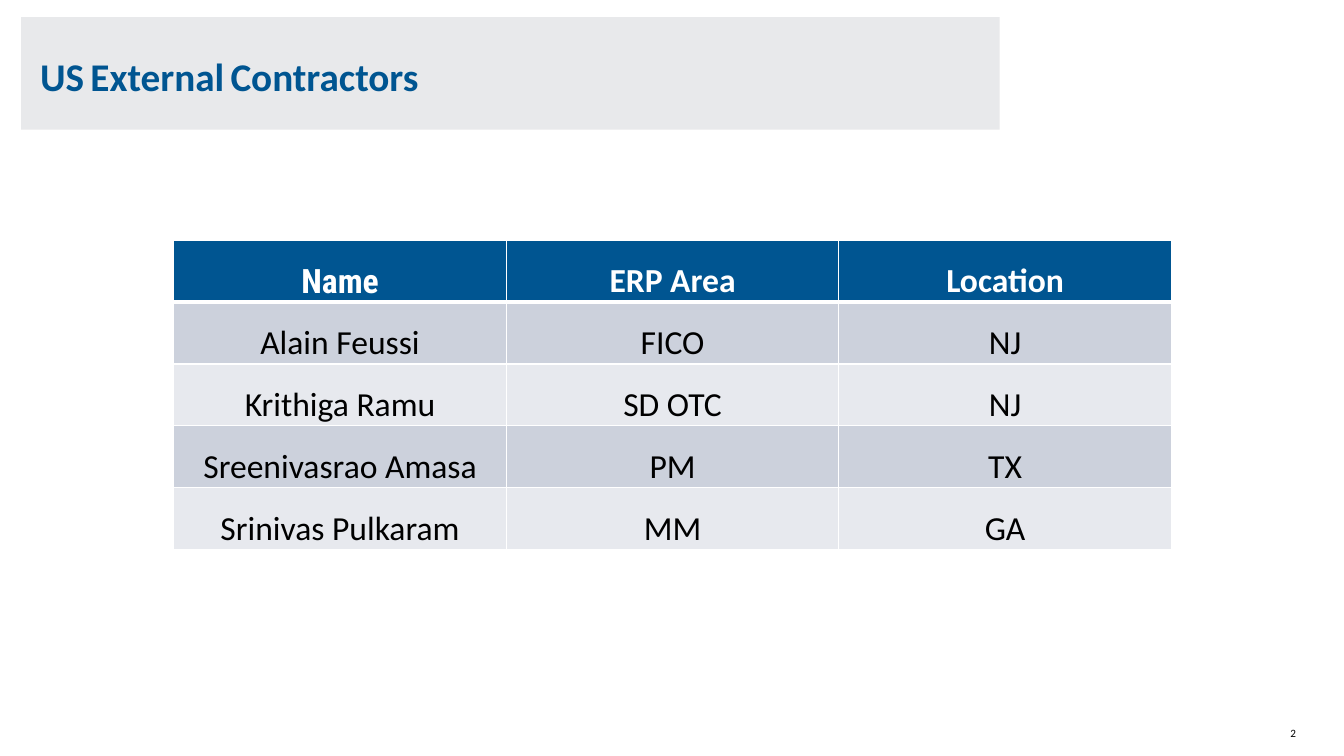
from lxml.etree import SubElement
from pptx import Presentation
from pptx.dml.color import RGBColor
from pptx.enum.text import MSO_ANCHOR, MSO_AUTO_SIZE, PP_ALIGN
from pptx.oxml.ns import qn
from pptx.util import Cm, Pt

TITLE_RUNS = [("US", 28), (" ", 20), ("External", 28), (" ", 20), ("Contractors", 28)]
HEADER = ("Name", "ERP Area", "Location")
CONTRACTORS = [
    ("Alain Feussi", "FICO", "NJ"),
    ("Krithiga Ramu", "SD OTC", "NJ"),
    ("Sreenivasrao Amasa", "PM", "TX"),
    ("Srinivas Pulkaram", "MM", "GA"),
]
SLIDE_NUMBER = "2"
BLUE, WHITE, BLACK, TITLE_GREY = "005591", "FFFFFF", "000000", "E8E9EB"
BANDS = ("CCD1DC", "E7E9EE")
COLUMN_WIDTH, ROW_HEIGHT = 8.38, 1.56


def set_fill(target, color):
    target.fill.solid()
    target.fill.fore_color.rgb = RGBColor.from_string(color)


def add_run(paragraph, text, size, color, bold=False, font="Calibri"):
    run = paragraph.add_run()
    run.text = text
    run.font.size = Pt(size)
    run.font.name = font
    run.font.bold = bold
    run.font.color.rgb = RGBColor.from_string(color)


def set_margins(target, left, top, right, bottom):
    target.margin_left, target.margin_top = Cm(left), Cm(top)
    target.margin_right, target.margin_bottom = Cm(right), Cm(bottom)


def set_borders(cell, row):
    properties = cell._tc.get_or_add_tcPr()
    widths = {"a:lnL": 1, "a:lnR": 1, "a:lnT": 3 if row == 1 else 1, "a:lnB": 3 if row == 0 else 1}
    for position, (tag, width) in enumerate(widths.items()):
        line = SubElement(properties, qn(tag), w=str(Pt(width)))
        SubElement(SubElement(line, qn("a:solidFill")), qn("a:srgbClr"), val=WHITE)
        properties.insert(position, line)


def add_title(slide):
    title = slide.shapes.title
    title.left, title.top, title.width, title.height = Cm(0.53), Cm(0.43), Cm(24.66), Cm(2.84)
    set_fill(title, TITLE_GREY)
    frame = title.text_frame
    frame.auto_size = MSO_AUTO_SIZE.NONE
    frame.vertical_anchor = MSO_ANCHOR.MIDDLE
    set_margins(frame, 0.48, 0, 0.48, 0)
    paragraph = frame.paragraphs[0]
    paragraph.alignment = PP_ALIGN.LEFT
    paragraph.line_spacing = 1.1
    for text, size in TITLE_RUNS:
        add_run(paragraph, text, size, BLUE, bold=True)


def add_contractor_table(slide):
    rows = [HEADER] + CONTRACTORS
    table = slide.shapes.add_table(
        len(rows), len(HEADER), Cm(4.38), Cm(6.05),
        Cm(COLUMN_WIDTH * len(HEADER)), Cm(ROW_HEIGHT * len(rows)),
    ).table
    for column in table.columns:
        column.width = Cm(COLUMN_WIDTH)
    for row, values in enumerate(rows):
        table.rows[row].height = Cm(ROW_HEIGHT)
        is_header = row == 0
        for column, text in enumerate(values):
            cell = table.cell(row, column)
            cell.vertical_anchor = MSO_ANCHOR.BOTTOM
            set_margins(cell, 0.03, 0.03, 0.03, 0)
            set_fill(cell, BLUE if is_header else BANDS[(row - 1) % 2])
            set_borders(cell, row)
            paragraph = cell.text_frame.paragraphs[0]
            paragraph.alignment = PP_ALIGN.CENTER
            font = "Roboto Condensed" if is_header and column == 0 else "Calibri"
            add_run(paragraph, text, 24, WHITE if is_header else BLACK, is_header, font)


def add_slide_number(slide):
    frame = slide.shapes.add_textbox(Cm(31.34), Cm(17.93), Cm(1.32), Cm(0.71)).text_frame
    frame.word_wrap = True
    frame.vertical_anchor = MSO_ANCHOR.BOTTOM
    set_margins(frame, 0, 0, 0, 0)
    paragraph = frame.paragraphs[0]
    paragraph.alignment = PP_ALIGN.RIGHT
    add_run(paragraph, SLIDE_NUMBER, 8, BLACK)


def main():
    presentation = Presentation()
    presentation.slide_width, presentation.slide_height = Cm(33.87), Cm(19.05)
    slide = presentation.slides.add_slide(presentation.slide_layouts.get_by_name("Title Only"))
    add_title(slide)
    add_contractor_table(slide)
    add_slide_number(slide)
    presentation.save("out.pptx")


if __name__ == "__main__":
    main()
